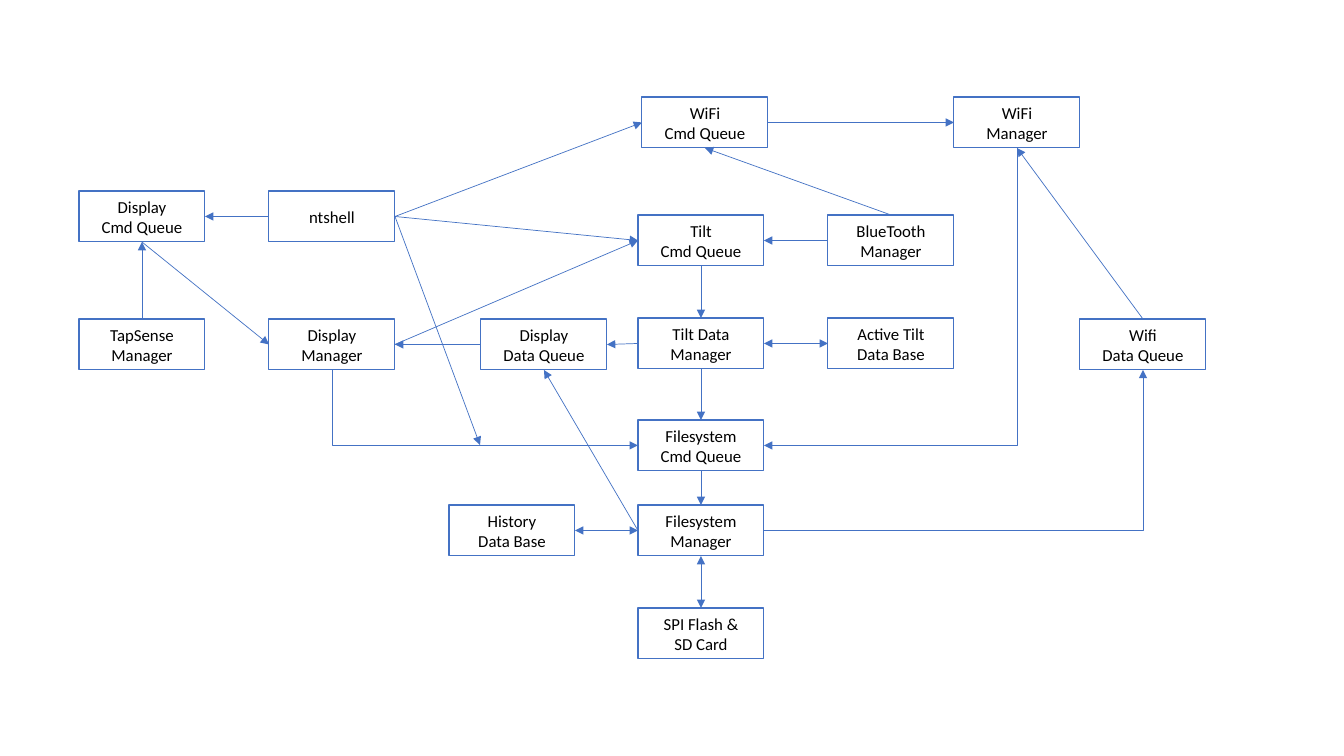
from dataclasses import dataclass

from pptx import Presentation
from pptx.dml.color import RGBColor
from pptx.enum.shapes import MSO_CONNECTOR, MSO_SHAPE
from pptx.enum.text import MSO_ANCHOR, PP_ALIGN
from pptx.oxml.ns import qn
from pptx.oxml.xmlchemy import OxmlElement
from pptx.util import Emu, Pt


@dataclass(frozen=True)
class Theme:
    """Colours, font and sizes of the diagram."""
    accent = RGBColor(0x44, 0x72, 0xC4)
    ink = RGBColor(0, 0, 0)
    font = "Calibri"
    text_size = Pt(12)
    border = Pt(0.75)
    arrow = Pt(0.5)


SCALE = 914400 / 100.8
BOX_WIDTH, BOX_HEIGHT = 126, 51
TOP, LEFT, BOTTOM, RIGHT = range(4)  # connection sites of a rectangle


def px(length):
    """Turn pixels into EMU."""
    return Emu(round(length * SCALE))


def add_arrow(page, start, end, ends="tail", bent=False):
    """Join two (box, site) pairs; the end may also be a free (x, y) point."""
    kind = MSO_CONNECTOR.ELBOW if bent else MSO_CONNECTOR.STRAIGHT
    arrow = page.shapes.add_connector(kind, 0, 0, 0, 0)
    arrow.begin_connect(boxes[start[0]], start[1])
    if end[0] in boxes:
        arrow.end_connect(boxes[end[0]], end[1])
    else:
        arrow.end_x, arrow.end_y = px(end[0]), px(end[1])
    arrow.line.color.rgb = Theme.accent
    arrow.line.width = Theme.arrow
    properties = arrow._element.spPr
    if bent:  # one corner: horizontal first, then vertical
        properties.find(qn("a:prstGeom")).set("prst", "bentConnector2")
    for name in ends.split():
        arrowhead = OxmlElement(f"a:{name}End")
        arrowhead.set("type", "triangle")
        properties.find(qn("a:ln")).append(arrowhead)
    properties.append(OxmlElement("a:effectLst"))


deck = Presentation()
deck.slide_width, deck.slide_height = px(1344), px(756)
page = deck.slides.add_slide(deck.slide_layouts[6])

# Boxes: key, left, top, label
nodes = [
    ("wifi commands", 642, 97, "WiFi\nCmd Queue"),
    ("wifi manager", 954, 97, "WiFi\nManager"),
    ("display commands", 79, 191, "Display\nCmd Queue"),
    ("shell", 269, 191, "ntshell"),
    ("tilt commands", 638, 215, "Tilt\nCmd Queue"),
    ("bluetooth", 828, 215, "BlueTooth\nManager"),
    ("touch", 79, 319, "TapSense\nManager"),
    ("display manager", 269, 319, "Display\nManager"),
    ("display data", 481, 319, "Display\nData Queue"),
    ("tilt manager", 638, 318, "Tilt Data\nManager"),
    ("active tilt", 828, 318, "Active Tilt\nData Base"),
    ("wifi data", 1080, 319, "Wifi\nData Queue"),
    ("file commands", 638, 420, "Filesystem\nCmd Queue"),
    ("history", 449, 505, "History\nData Base"),
    ("file manager", 638, 505, "Filesystem\nManager"),
    ("storage", 638, 608, "SPI Flash &\nSD Card"),
]
boxes = {}
for key, left, top, label in nodes:
    box = page.shapes.add_shape(
        MSO_SHAPE.RECTANGLE, px(left), px(top), px(BOX_WIDTH), px(BOX_HEIGHT))
    box.shadow.inherit = False
    box.fill.background()
    box.line.color.rgb = Theme.accent
    box.line.width = Theme.border
    frame = box.text_frame
    frame.word_wrap = False
    frame.vertical_anchor = MSO_ANCHOR.MIDDLE
    frame.text = label
    for para in frame.paragraphs:
        para.alignment = PP_ALIGN.CENTER
        para.font.name = Theme.font
        para.font.size = Theme.text_size
        para.font.color.rgb = Theme.ink
    boxes[key] = box

one_way = [
    (("shell", RIGHT), ("wifi commands", LEFT)),
    (("shell", RIGHT), ("tilt commands", LEFT)),
    (("shell", RIGHT), (480, 445)),
    (("shell", LEFT), ("display commands", RIGHT)),
    (("touch", TOP), ("display commands", BOTTOM)),
    (("display commands", BOTTOM), ("display manager", LEFT)),
    (("display manager", RIGHT), ("tilt commands", LEFT)),
    (("display data", LEFT), ("display manager", RIGHT)),
    (("tilt manager", LEFT), ("display data", RIGHT)),
    (("tilt commands", BOTTOM), ("tilt manager", TOP)),
    (("tilt manager", BOTTOM), ("file commands", TOP)),
    (("file commands", BOTTOM), ("file manager", TOP)),
    (("file manager", LEFT), ("display data", BOTTOM)),
    (("bluetooth", LEFT), ("tilt commands", RIGHT)),
    (("bluetooth", TOP), ("wifi commands", BOTTOM)),
    (("wifi commands", RIGHT), ("wifi manager", LEFT)),
    (("wifi data", TOP), ("wifi manager", BOTTOM)),
]
two_way = [
    (("active tilt", LEFT), ("tilt manager", RIGHT)),
    (("history", RIGHT), ("file manager", LEFT)),
    (("storage", TOP), ("file manager", BOTTOM)),
]
bent_routes = [
    (("file manager", RIGHT), ("wifi data", BOTTOM), "tail"),
    (("file commands", RIGHT), ("wifi manager", BOTTOM), "head"),
    (("file commands", LEFT), ("display manager", BOTTOM), "head"),
]
for start, end in one_way:
    add_arrow(page, start, end)
for start, end in two_way:
    add_arrow(page, start, end, "head tail")
for start, end, ends in bent_routes:
    add_arrow(page, start, end, ends, bent=True)

deck.save("out.pptx")
